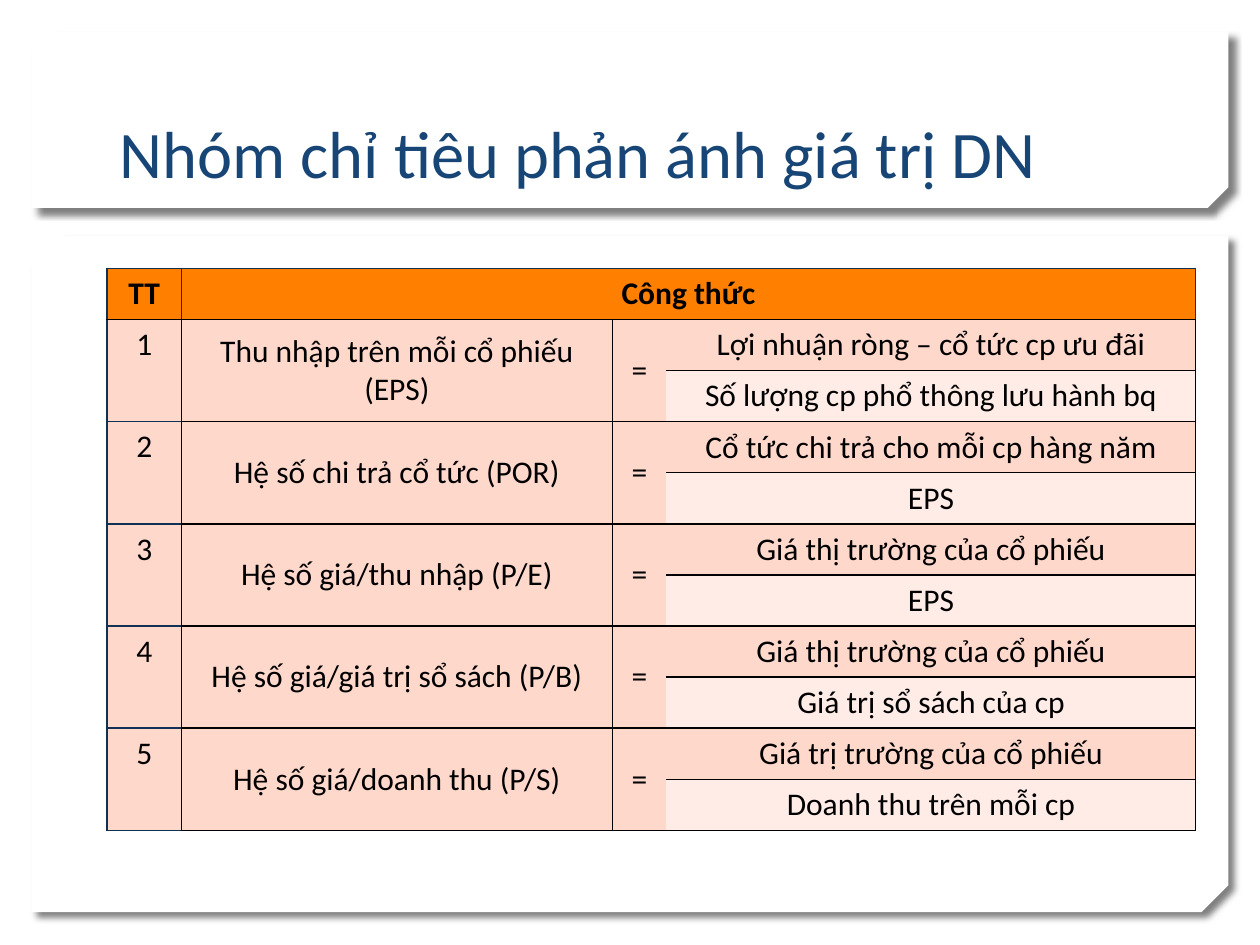
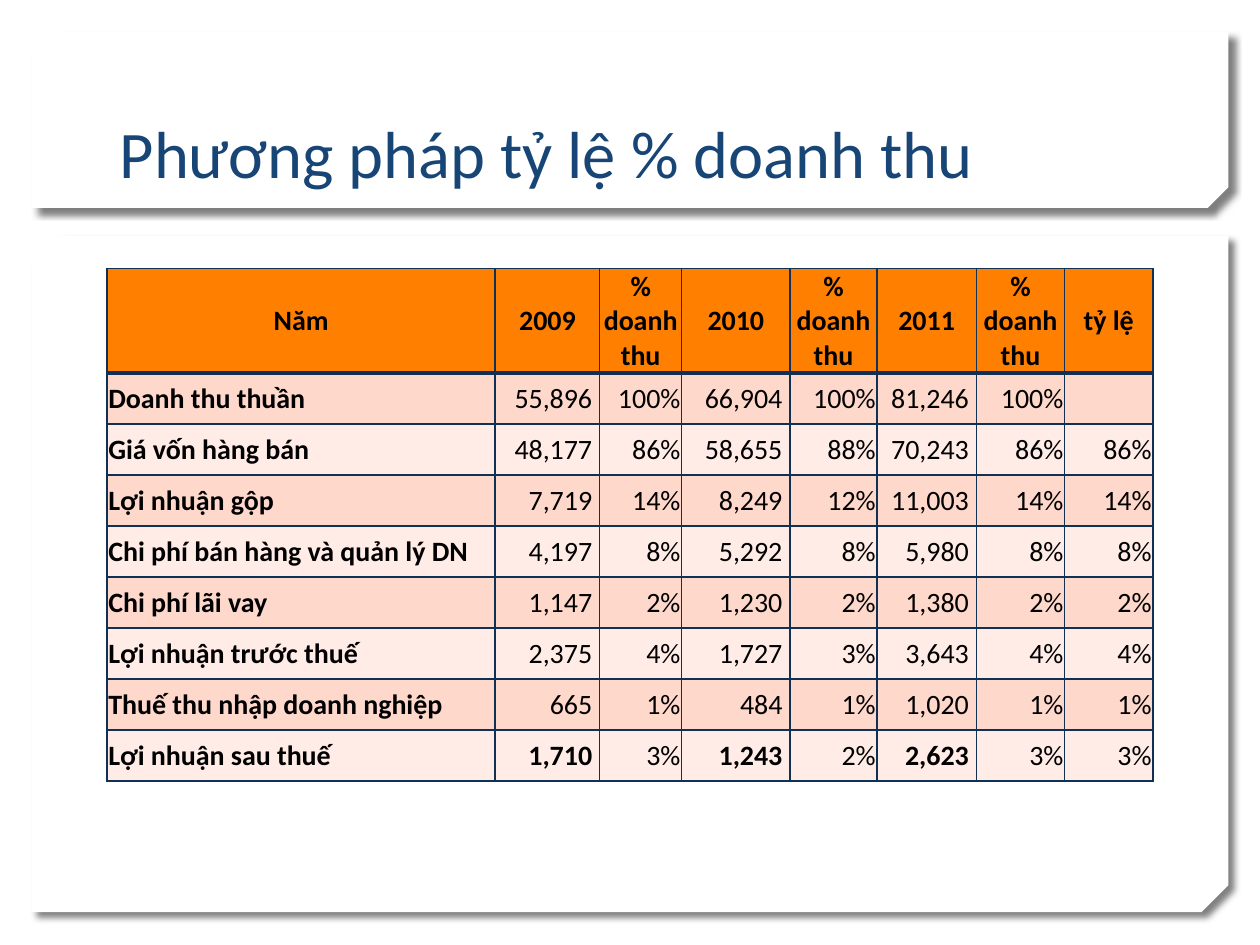
import pptx
import pptx.dml.color
import pptx.enum.shapes
import pptx.enum.text
import pptx.oxml
import pptx.oxml.ns
import pptx.util
from pptx.util import Inches

COLORS = {
    "panel": "FFFFFF",
    "title": "174576",
    "text": "000000",
    "header": "FF7F01",
    "band_dark": "FFD8CC",
    "band_light": "FFECE7",
    "navy": "103154",
    "black": "000000",
}
FONT = "Calibri"
ALIGN = pptx.enum.text.PP_ALIGN
ANCHOR = pptx.enum.text.MSO_ANCHOR
NO_GRID_STYLE = "{2D5ABB26-0587-4C30-8999-92F81FD0307C}"
DEFAULT_MARGINS = (0.1, 0.05, 0.1, 0.05)
TABLE_LEFT, TABLE_TOP, ROW_HEIGHT = 0.85, 2.13, 0.405

RATIOS = [
    ("Thu nhập trên mỗi cổ phiếu (EPS)",
     "Lợi nhuận ròng – cổ tức cp ưu đãi", "Số lượng cp phổ thông lưu hành bq"),
    ("Hệ số chi trả cổ tức (POR)", "Cổ tức chi trả cho mỗi cp hàng năm", "EPS"),
    ("Hệ số giá/thu nhập (P/E)", "Giá thị trường của cổ phiếu", "EPS"),
    ("Hệ số giá/giá trị sổ sách (P/B)",
     "Giá thị trường của cổ phiếu", "Giá trị sổ sách của cp"),
    ("Hệ số giá/doanh thu (P/S)",
     "Giá trị trường của cổ phiếu", "Doanh thu trên mỗi cp"),
]
INCOME_HEADER = ("Năm", "2009", "% doanh thu", "2010", "% doanh thu",
                 "2011", "% doanh thu", "tỷ lệ")
INCOME_ROWS = [
    ("Doanh thu thuần", "55,896", "100%", "66,904", "100%", "81,246", "100%", ""),
    ("Giá vốn hàng bán", "48,177", "86%", "58,655", "88%", "70,243", "86%", "86%"),
    ("Lợi nhuận gộp", "7,719", "14%", "8,249", "12%", "11,003", "14%", "14%"),
    ("Chi phí bán hàng và quản lý DN",
     "4,197", "8%", "5,292", "8%", "5,980", "8%", "8%"),
    ("Chi phí lãi vay", "1,147", "2%", "1,230", "2%", "1,380", "2%", "2%"),
    ("Lợi nhuận trước thuế", "2,375", "4%", "1,727", "3%", "3,643", "4%", "4%"),
    ("Thuế thu nhập doanh nghiệp", "665", "1%", "484", "1%", "1,020", "1%", "1%"),
    ("Lợi nhuận sau thuế", "1,710", "3%", "1,243", "2%", "2,623", "3%", "3%"),
]


def rgb(name):
    return pptx.dml.color.RGBColor.from_string(COLORS[name])


def xml(text):
    return pptx.oxml.parse_xml(text.replace(
        ">", f" {pptx.oxml.ns.nsdecls('a')}>", 1))


class Deck:
    """Holds the shared style and the slide being filled."""

    def __init__(self):
        self.presentation = pptx.Presentation()
        self.presentation.slide_width = Inches(10)
        self.presentation.slide_height = Inches(7.5)
        self.layout = self.presentation.slide_layouts[5]
        self.slide = None

    def add_slide(self, title):
        first = self.slide is None
        self.slide = self.presentation.slides.add_slide(self.layout)
        if first:
            self.add_layout_panel(0.25, 1.4, 0.117)
            self.add_layout_panel(1.87, 5.37, 0.04)
        self.add_title(title)

    def add_layout_panel(self, top, height, snip):
        """Draw a shadowed card and move it behind everything on the layout."""
        shape = self.slide.shapes.add_shape(
            pptx.enum.shapes.MSO_SHAPE.SNIP_2_DIAG_RECTANGLE,
            Inches(0.25), Inches(top), Inches(9.5), Inches(height))
        shape.adjustments[0] = 0
        shape.adjustments[1] = snip
        shape.fill.solid()
        shape.fill.fore_color.rgb = rgb("panel")
        shape.line.fill.background()
        properties = shape.element.spPr
        properties.find(pptx.oxml.ns.qn("a:xfrm")).set("flipV", "1")
        properties.append(xml(
            '<a:effectLst><a:outerShdw blurRad="50800" dist="63500" dir="2700000" '
            'algn="tl" rotWithShape="0"><a:srgbClr val="000000">'
            '<a:alpha val="50000"/></a:srgbClr></a:outerShdw></a:effectLst>'))
        self.layout.shapes.element.insert(2, shape.element)

    def add_title(self, text):
        title = self.slide.shapes.title
        title.left, title.top = Inches(0.85), Inches(0.32)
        title.width, title.height = Inches(8.29), Inches(1.25)
        frame = title.text_frame
        frame.text = text
        frame.auto_size = pptx.enum.text.MSO_AUTO_SIZE.NONE
        frame.vertical_anchor = ANCHOR.BOTTOM
        self.format(frame.paragraphs[0], 38, "title", ALIGN.LEFT)

    def format(self, paragraph, size, color, align, bold=False):
        paragraph.alignment = align
        font = paragraph.font
        font.name, font.size, font.bold = FONT, pptx.util.Pt(size), bold
        font.color.rgb = rgb(color)

    def add_table(self, widths, heights):
        frame = self.slide.shapes.add_table(
            len(heights), len(widths), Inches(TABLE_LEFT), Inches(TABLE_TOP),
            Inches(sum(widths)), Inches(sum(heights)))
        table = frame.table
        table.first_row = table.horz_banding = False
        style = table._tbl.tblPr.find(pptx.oxml.ns.qn("a:tableStyleId"))
        style.text = NO_GRID_STYLE
        for column, width in zip(table.columns, widths):
            column.width = Inches(width)
        for row, height in zip(table.rows, heights):
            row.height = Inches(height)
        return table

    def fill_cell(self, cell, text, fill, borders, size=18, align=ALIGN.CENTER,
                  bold=False, anchor=ANCHOR.MIDDLE, margins=DEFAULT_MARGINS):
        """Borders maps sides (L, R, T, B) to a colour name and a width."""
        properties = cell._tc.get_or_add_tcPr()
        for side in "LRTB":
            if side in borders:
                color, width = borders[side]
                properties.append(xml(
                    f'<a:ln{side} w="{pptx.util.Pt(width)}"><a:solidFill>'
                    f'<a:srgbClr val="{COLORS[color]}"/></a:solidFill></a:ln{side}>'))
        cell.fill.solid()
        cell.fill.fore_color.rgb = rgb(fill)
        cell.vertical_anchor = anchor
        (cell.margin_left, cell.margin_top,
         cell.margin_right, cell.margin_bottom) = map(Inches, margins)
        cell.text = text
        self.format(cell.text_frame.paragraphs[0], size, "text", align, bold)


def band(row):
    return "band_dark" if row % 2 else "band_light"


def add_ratio_slide(deck):
    deck.add_slide("Nhóm chỉ tiêu phản ánh giá trị DN")
    table = deck.add_table([0.59, 3.42, 0.43, 4.2],
                           [ROW_HEIGHT] * (1 + 2 * len(RATIOS)))
    navy, black = ("navy", 1), ("black", 1)
    header_borders = {"L": navy, "R": navy, "T": navy, "B": black}
    for column, text in enumerate(("TT", "Công thức", "", "")):
        borders = header_borders if column < 2 else {"T": navy, "B": black}
        if column == 3:
            borders = {**borders, "R": black}
        deck.fill_cell(table.cell(0, column), text, "header", borders,
                       bold=True, anchor=ANCHOR.TOP)
    table.cell(0, 1).merge(table.cell(0, 3))

    for number, (name, numerator, denominator) in enumerate(RATIOS, 1):
        top = 2 * number - 1
        upper = (str(number), name, "=", numerator)
        lower = ("", "", "", denominator)
        sides = ({"L": navy, "R": black}, {"L": black}, {}, {"R": black})
        for column, side in enumerate(sides):
            edge = navy if column == 0 else black
            anchor = ANCHOR.TOP if column == 0 else ANCHOR.MIDDLE
            deck.fill_cell(table.cell(top, column), upper[column], band(top),
                           {**side, "T": black if number == 1 else edge, "B": edge},
                           anchor=anchor)
            lower_borders = {**side, "B": edge}
            if column == 3:
                lower_borders["T"] = black
            deck.fill_cell(table.cell(top + 1, column), lower[column],
                           band(top + 1), lower_borders, anchor=anchor)
            if column < 3:
                table.cell(top, column).merge(table.cell(top + 1, column))


def add_income_slide(deck):
    deck.add_slide("Phương pháp tỷ lệ % doanh thu")
    table = deck.add_table([3.08, 0.83, 0.65, 0.86, 0.69, 0.79, 0.7, 0.7],
                           [0.83] + [ROW_HEIGHT] * len(INCOME_ROWS))
    grid = dict.fromkeys("LRTB", ("navy", 1))
    thick = ("navy", 3)
    tight = (0.01, 0.01, 0.01, 0)
    amount_margins = (0.01, 0.01, 0.06, 0)
    amount_columns = (1, 3, 5)
    for column, text in enumerate(INCOME_HEADER):
        deck.fill_cell(table.cell(0, column), text, "header", {**grid, "B": thick},
                       size=16, bold=True, margins=tight)
    for row, values in enumerate(INCOME_ROWS, 1):
        borders = {**grid, "T": thick} if row == 1 else grid
        for column, text in enumerate(values):
            is_amount = column in amount_columns
            deck.fill_cell(
                table.cell(row, column), text, band(row), borders, size=16,
                align=ALIGN.RIGHT if column else ALIGN.LEFT,
                bold=column == 0 or (is_amount and row == len(INCOME_ROWS)),
                margins=amount_margins if is_amount else tight)


def main():
    deck = Deck()
    add_ratio_slide(deck)
    add_income_slide(deck)
    deck.presentation.save("out.pptx")


if __name__ == "__main__":
    main()
